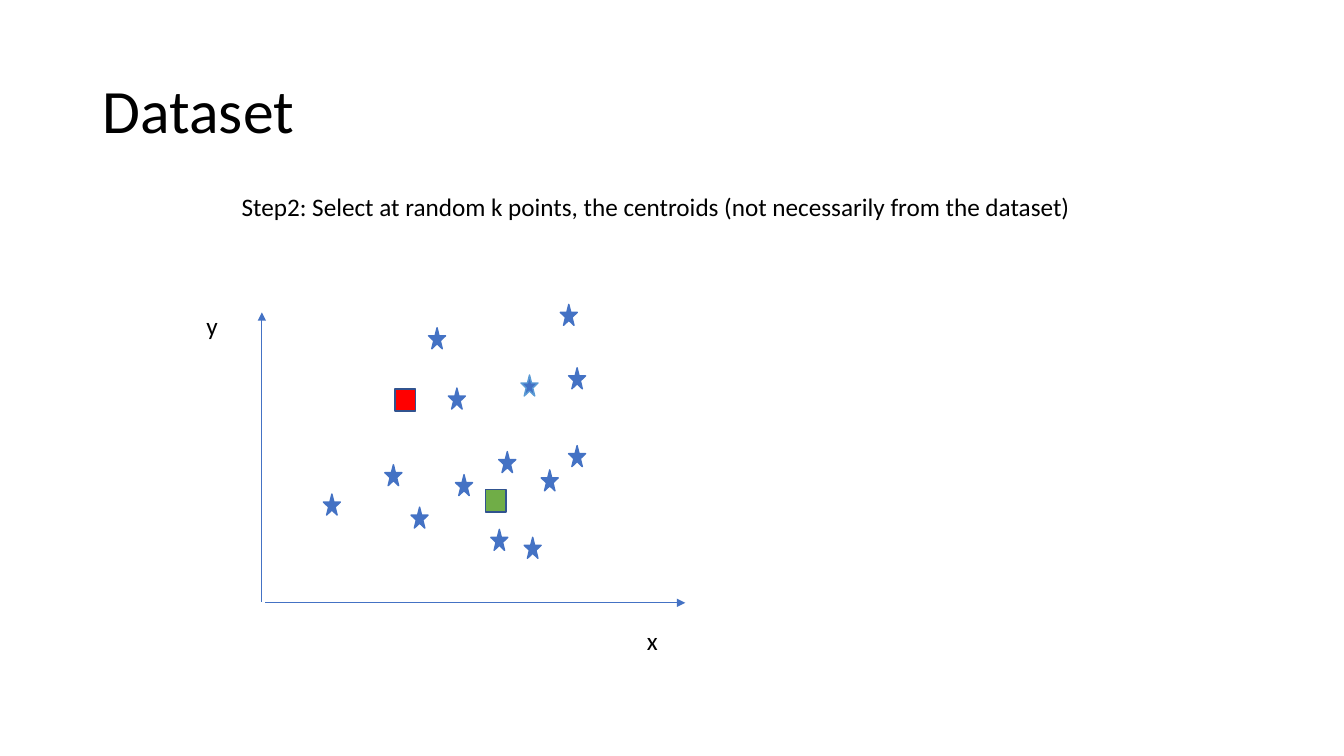
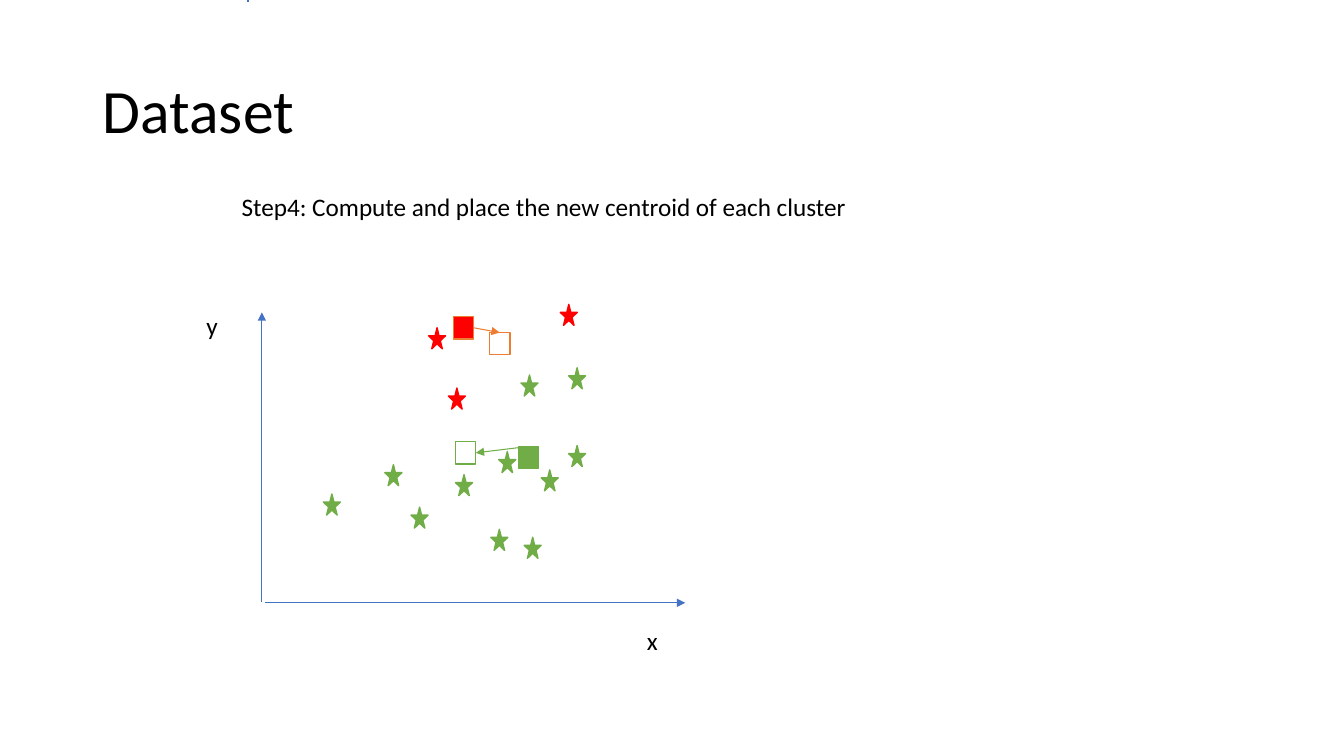
from lxml import etree
from pptx import Presentation
from pptx.dml.color import RGBColor
from pptx.enum import shapes, text
from pptx.oxml.ns import qn
from pptx.util import Cm, Pt

BLUE, LIGHT_BLUE, DARK_BLUE = "4472C4", "5B9BD5", "31538F"
RED, GREEN, ORANGE = "FF0000", "70AD47", "ED7D31"

# Left and top of each star, in cm
RED_CLUSTER = [(14.12, 7.67), (10.8, 8.26), (11.3, 9.78)]
GREEN_CLUSTER = [
    (8.15, 12.45), (10.36, 12.78), (13.64, 11.84), (9.7, 11.71), (14.33, 11.23),
    (12.57, 11.38), (11.48, 11.96), (12.37, 13.34), (13.21, 13.54), (14.33, 9.27),
]
OUTLINED_POINT = (13.13, 9.45)


def rgb(color):
    return RGBColor.from_string(color)


class Deck:
    """Holds the presentation, its style and the current slide."""

    FONT, INK = "Calibri", "000000"
    TITLE_SIZE, BODY_SIZE = 44, 18
    STAR = (0.43, 0.53)
    SQUARE = (0.51, 0.56)

    def __init__(self):
        self.prs = Presentation()
        self.prs.slide_width, self.prs.slide_height = Cm(33.87), Cm(19.05)
        self.slide = None

    def step(self, caption, caption_height):
        """Start a slide with its title, caption and axes."""
        self.slide = self.prs.slides.add_slide(self.prs.slide_layouts[6])
        title = self.text("Dataset", 2.34, 1.02, 29.21, 3.68, self.TITLE_SIZE)
        title.text_frame.vertical_anchor = text.MSO_ANCHOR.MIDDLE
        title.text_frame.paragraphs[0].line_spacing = 0.9
        self.text(caption, 5.84, 4.7, 22.56, caption_height)
        self.line((6.68, 15.19), (17.27, 15.19), BLUE)
        self.line((6.6, 15.16), (6.6, 7.87), BLUE)
        self.text("x", 16.05, 15.62, 0.89, 1.02)
        self.text("y", 4.95, 7.7, 0.89, 1.02)

    def text(self, content, left, top, width, height, size=BODY_SIZE):
        sp = self.slide.shapes.add_textbox(Cm(left), Cm(top), Cm(width), Cm(height))
        tf = sp.text_frame
        tf.word_wrap = True
        tf.text = content
        font = tf.paragraphs[0].runs[0].font
        font.name, font.size = self.FONT, Pt(size)
        font.color.rgb = rgb(self.INK)
        return sp

    def shape(self, kind, position, size, fill, line):
        sp = self.slide.shapes.add_shape(kind, *map(Cm, position + size))
        sp.shadow.inherit = False
        if fill:
            sp.fill.solid()
            sp.fill.fore_color.rgb = rgb(fill)
        else:
            sp.fill.background()
        sp.line.color.rgb = rgb(line)
        sp.line.width = Pt(1)
        return sp

    def stars(self, points, fill, line=None):
        for point in points:
            self.shape(shapes.MSO_SHAPE.STAR_5_POINT, point, self.STAR, fill, line or fill)

    def centroid(self, left, top, fill, line):
        return self.shape(shapes.MSO_SHAPE.RECTANGLE, (left, top), self.SQUARE, fill, line)

    def line(self, start, end, color, arrow=True):
        line = self.slide.shapes.add_connector(
            shapes.MSO_CONNECTOR.STRAIGHT, *map(Cm, start + end))
        line.line.color.rgb = rgb(color)
        line.line.width = Pt(0.75)
        if arrow:
            etree.SubElement(line.line._get_or_add_ln(), qn("a:tailEnd"), type="triangle")
        etree.SubElement(line._element.spPr, qn("a:effectLst"))
        return line

    def move(self, old, old_side, new, new_side, color):
        """Draw an arrow from the old centroid to the new one."""
        arrow = self.line((0, 0), (0, 0), color)
        arrow.begin_connect(old, old_side)
        arrow.end_connect(new, new_side)


def select_centroids(deck):
    deck.step("Step2: Select at random k points, the centroids "
              "(not necessarily from the dataset)", 1.8)
    deck.stars(RED_CLUSTER + GREEN_CLUSTER, BLUE)
    deck.stars([OUTLINED_POINT], BLUE, LIGHT_BLUE)
    deck.centroid(9.96, 9.8, RED, DARK_BLUE)
    deck.centroid(12.24, 12.34, GREEN, DARK_BLUE)


def move_centroids(deck):
    deck.step("Step4: Compute and place the new centroid of each cluster", 1.02)
    deck.line((6.25, 0), (6.25, 0.05), BLUE, arrow=False)
    deck.stars(RED_CLUSTER, RED)
    deck.stars(GREEN_CLUSTER + [OUTLINED_POINT], GREEN)
    old_red = deck.centroid(11.43, 7.98, RED, ORANGE)
    old_green = deck.centroid(13.06, 11.25, GREEN, GREEN)
    new_red = deck.centroid(12.34, 8.38, None, ORANGE)
    new_green = deck.centroid(11.48, 11.13, None, GREEN)
    deck.move(old_red, 3, new_red, 0, ORANGE)
    deck.move(old_green, 0, new_green, 3, GREEN)


def main():
    deck = Deck()
    select_centroids(deck)
    move_centroids(deck)
    deck.prs.save("out.pptx")


if __name__ == "__main__":
    main()
